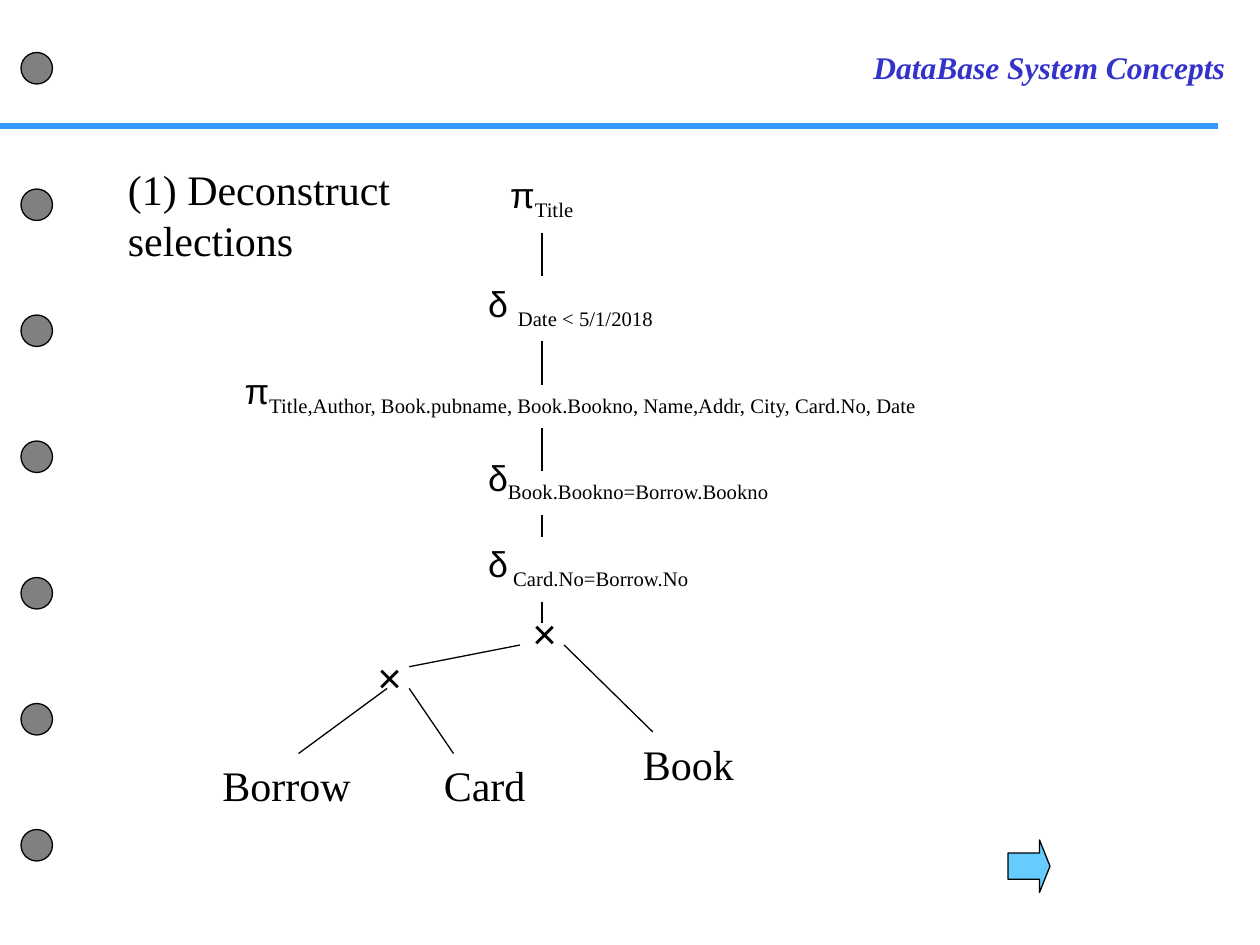
from dataclasses import dataclass

from lxml import etree
from pptx import Presentation
from pptx.dml.color import RGBColor
from pptx.enum.shapes import MSO_CONNECTOR, MSO_SHAPE
from pptx.enum.text import MSO_ANCHOR, PP_ALIGN
from pptx.oxml.ns import qn
from pptx.util import Pt

OVAL, RECT, ARROW = MSO_SHAPE.OVAL, MSO_SHAPE.RECTANGLE, MSO_SHAPE.RIGHT_ARROW
LINE = MSO_CONNECTOR.STRAIGHT
LEFT, FULL = PP_ALIGN.LEFT, PP_ALIGN.JUSTIFY
TOP = MSO_ANCHOR.TOP


@dataclass(frozen=True)
class Theme:
    ink: str = "000000"
    paper: str = "FFFFFF"
    title: str = "3333CC"
    rule: str = "3399FF"
    hole: str = "808080"
    arrow: str = "66CCFF"
    serif: str = "Times New Roman"
    sans: str = "Arial"
    body: float = 24
    head: float = 18
    sign: float = 20.4
    thin: float = 0.75
    thick: float = 3


THEME = Theme()


def color(code):
    return RGBColor.from_string(code)


def shape(slide, kind, box, fill, edge=None):
    item = slide.shapes.add_shape(kind, *map(Pt, box))
    item.shadow.inherit = False
    item.fill.solid()
    item.fill.fore_color.rgb = color(fill)
    if edge:
        item.line.color.rgb = color(edge)
        item.line.width = Pt(THEME.thin)
    else:
        item.line.fill.background()
    return item


def link(slide, start, end, tint=THEME.ink, width=THEME.thin):
    item = slide.shapes.add_connector(LINE, *map(Pt, (*start, *end)))
    item.line.color.rgb = color(tint)
    item.line.width = Pt(width)
    etree.SubElement(item.element.spPr, qn("a:effectLst"))


def write(slide, box, text, sub="", fill=None, face=THEME.serif, size=THEME.body,
          tint=THEME.ink, strong=False, slant=False, align=LEFT, pitch=1.0):
    if fill:
        item = shape(slide, RECT, box, fill)
    else:
        item = slide.shapes.add_textbox(*map(Pt, box))
    frame = item.text_frame
    frame.word_wrap = True
    frame.vertical_anchor = TOP
    para = frame.paragraphs[0]
    para.alignment = align
    para.line_spacing = pitch
    for part, name, drop in ((text, face, 0), (sub, THEME.serif, -25000)):
        if not part:
            continue
        run = para.add_run()
        run.text = part
        font = run.font
        font.name, font.size = name, Pt(size)
        font.bold, font.italic = strong, slant
        font.color.rgb = color(tint)
        if drop:
            run._r.get_or_add_rPr().set("baseline", str(drop))


def draw_holes(slide, box):
    left, top, side = box
    for drop in (0, 78, 150, 222, 300, 372, 444):
        shape(slide, OVAL, (left, top + drop, side, side), THEME.hole, THEME.ink)


def draw_head(slide, box):
    left, top, width, height = box
    link(slide, (left, top + height), (left + width - 24, top + height),
         THEME.rule, THEME.thick)
    write(slide, (left + width - 228, top + 24, 228, 29), "DataBase System Concepts",
          size=THEME.head, tint=THEME.title, strong=True, slant=True)


def draw_tree(slide, box):
    left, top, width, height = box
    col, row = width / 45, height / 30

    def spot(across, down):
        return left + (across + 15) * col, top + down * row

    def node(across, down, span, text, **form):
        write(slide, (*spot(across, down), span * col, 3 * row), text,
              fill=THEME.paper, align=FULL, **form)

    for across, down in ((-8, 22), (-1, 20)):
        node(across, down, 4, "×", face=THEME.sans)
    for across, down, span, text in (
        (-15, 27, 8.5, "Borrow"),
        (-5, 27, 6.2, "Card"),
        (4, 26, 8, "Book"),
    ):
        node(across, down, span, text)
    for across, down, span, text, sub in (
        (-2, 0, 7, "π", "Title"),
        (-3, 5, 22, "δ ", "Date < 5/1/2018"),
        (-14, 9, 43.7, "π",
         "Title,Author, Book.pubname, Book.Bookno, Name,Addr, City, Card.No, Date"),
        (-3, 13, 22, "δ", "Book.Bookno=Borrow.Bookno"),
        (-3, 17, 22, "δ", " Card.No=Borrow.No"),
    ):
        node(across, down, span, text, sub=sub, face=THEME.sans,
             size=THEME.sign, pitch=0.9)
    for down, span in ((3, 2), (8, 2), (12, 2), (16, 1), (20, 1)):
        link(slide, spot(0, down), spot(0, down + span))
    for start, end in (
        ((-1, 22), (-6, 23)),
        ((-7, 24), (-11, 27)),
        ((-6, 24), (-4, 27)),
        ((1, 22), (5, 26)),
    ):
        link(slide, spot(*start), spot(*end))


def draw_arrow(slide, box):
    item = shape(slide, ARROW, box, THEME.arrow, THEME.ink)
    item.adjustments[0] = 0.5
    item.adjustments[1] = 0.25


def main():
    deck = Presentation()
    deck.slide_width, deck.slide_height = Pt(720), Pt(540)
    slide = deck.slides.add_slide(deck.slide_layouts[6])
    slide.background.fill.solid()
    slide.background.fill.fore_color.rgb = color(THEME.paper)
    draw_head(slide, (0, 0, 720, 72))
    draw_holes(slide, (12, 30, 18))
    draw_tree(slide, (120, 95.8, 569.25, 372))
    write(slide, (66, 90, 192, 65), "(1) Deconstruct selections")
    draw_arrow(slide, (576, 480, 24, 30))
    deck.save("out.pptx")


if __name__ == "__main__":
    main()
